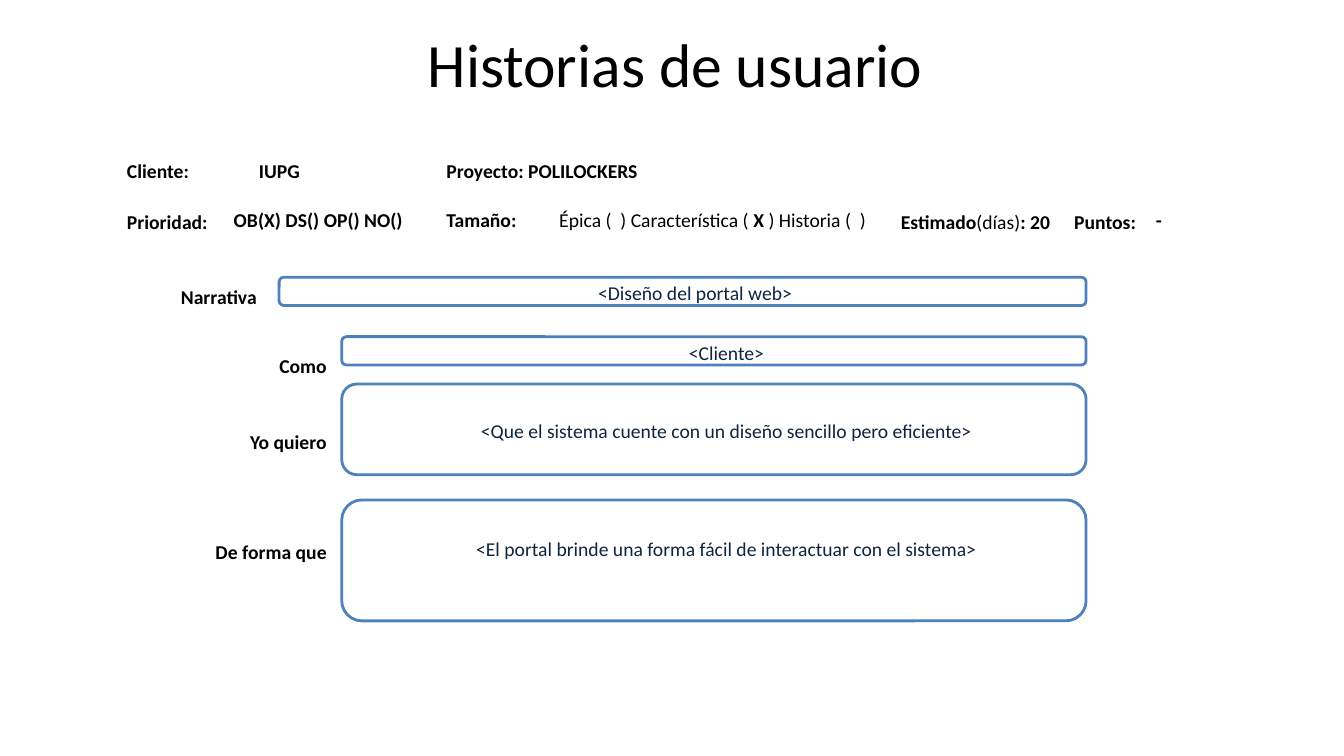
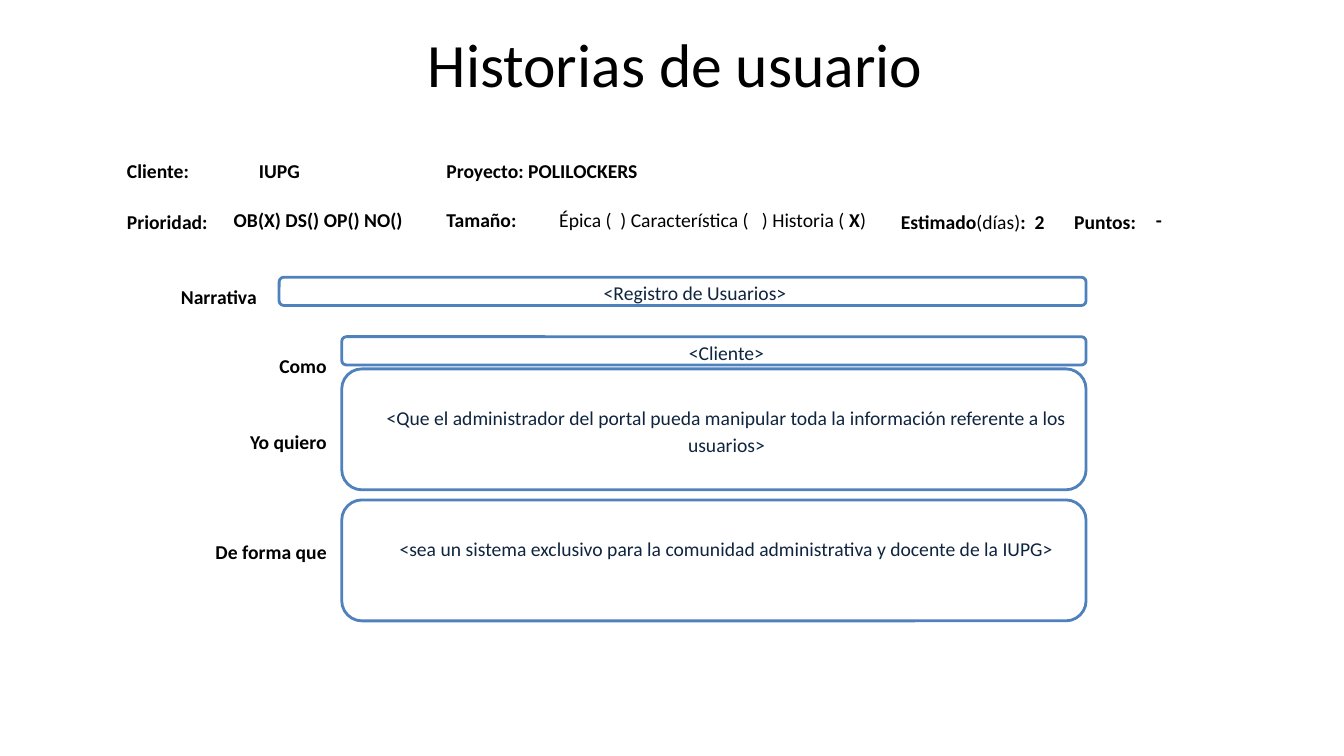
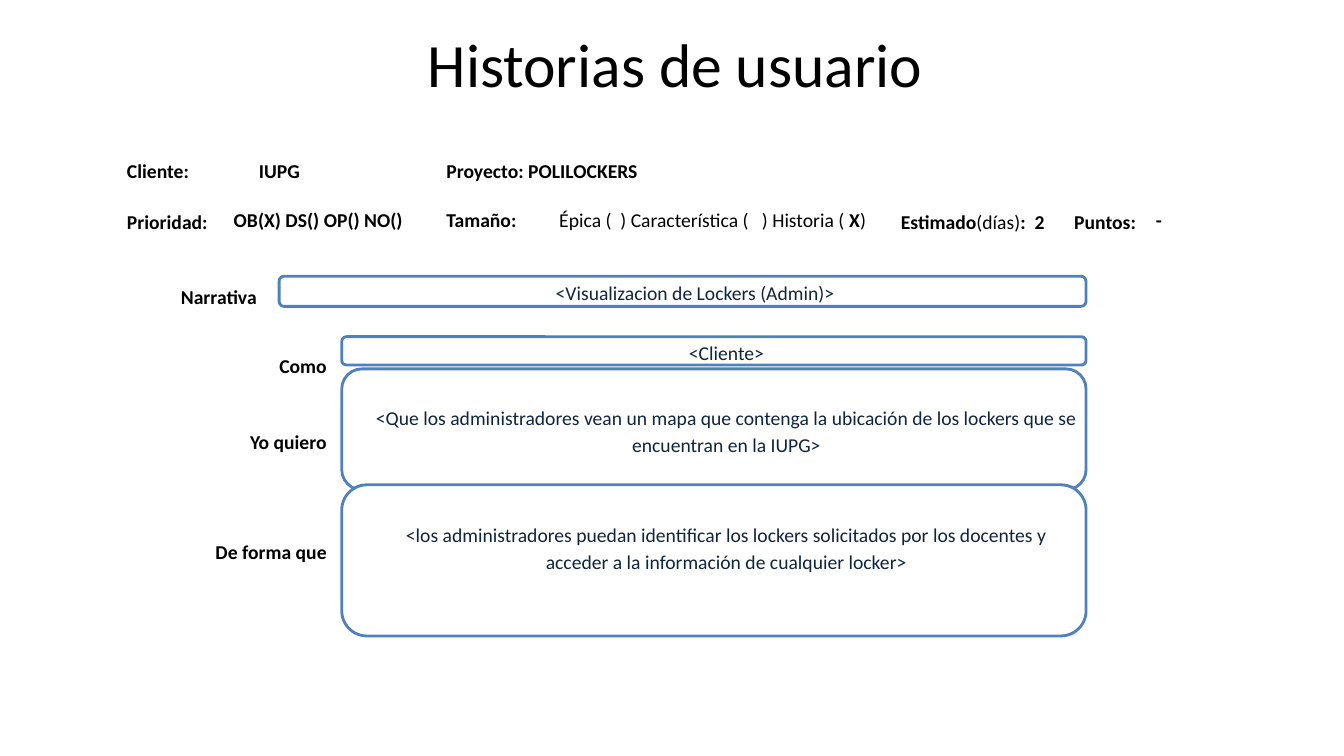
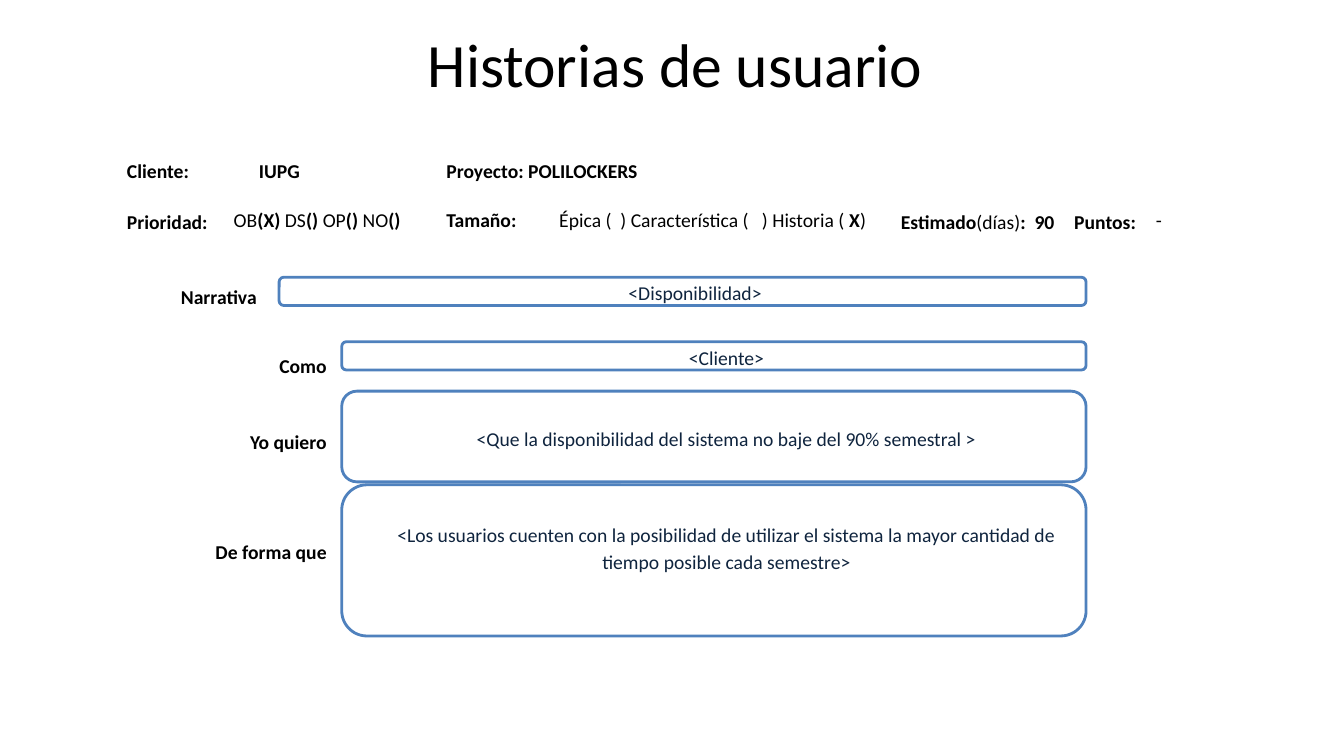
from dataclasses import dataclass

from pptx import Presentation
from pptx.dml.color import RGBColor
from pptx.enum.shapes import MSO_SHAPE as Preset
from pptx.enum.text import MSO_ANCHOR as Anchor, PP_ALIGN as Align
from pptx.util import Pt

COLORS = {"text": "000000", "story": "0F243E", "outline": "4F81BD", "paper": "FFFFFF"}
FONT = "Calibri"
BODY_SIZE = 14
LOOSE = 1.15
BODY_LINE = 19.6
INDENT = 18
TITLE_ONLY = 5

HEADER_AT = (85.7, 104.4)
HEADER_COLUMNS = [76.3, 151.9, 80.6, 244.1, 123.8, 58.3, 33.1]
HEADER_ROWS = [33.1, 39.6]
LABELS_AT = (113.8, 188.6)
LABEL_COLUMNS = [85, 39.6, 554.4]
LABEL_ROWS = [44.6, 54, 54, 103]
NARRATIVE_LEFT, STORY_LEFT, BOX_RIGHT = 199.4, 244.1, 775.8


def color(name):
    return RGBColor.from_string(COLORS[name])


@dataclass
class Story:
    """One user story; asterisks enclose bold text, spans are (top, height)."""
    size: str
    days: str
    narrative: str
    want: str
    benefit: str
    want_span: tuple
    benefit_span: tuple
    priority: str = "*OB(X) DS() OP() NO()*"
    points: str = "*-*"
    narrative_span: tuple = (198, 20.2)
    role_span: tuple = (240.5, 20.2)


class StoryDeck:
    def __init__(self):
        self.prs = Presentation()
        self.prs.slide_width, self.prs.slide_height = Pt(960), Pt(540)
        self.slide = None

    def new_slide(self, title):
        self.slide = self.prs.slides.add_slide(self.prs.slide_layouts[TITLE_ONLY])
        heading = self.slide.shapes.title
        heading.left, heading.top, heading.width, heading.height = (
            Pt(50.4), Pt(0), Pt(864), Pt(90))
        frame = heading.text_frame
        frame.text = title
        frame.vertical_anchor = Anchor.MIDDLE
        frame.paragraphs[0].alignment = Align.CENTER
        self.style(frame.paragraphs[0].runs[0], size=44)

    def style(self, run, size=BODY_SIZE, ink="text", bold=False):
        run.font.name, run.font.size, run.font.bold = FONT, Pt(size), bold
        run.font.color.rgb = color(ink)

    def fill_text(self, paragraph, text, align=Align.LEFT, spacing=LOOSE, indent=0,
                  ink="text"):
        """Fill a paragraph; every second piece between asterisks is bold."""
        if indent:
            paragraph._p.get_or_add_pPr().set("marL", str(Pt(indent)))
        paragraph.alignment, paragraph.line_spacing = align, spacing
        for i, piece in enumerate(text.split("*")):
            if piece:
                run = paragraph.add_run()
                run.text = piece
                self.style(run, ink=ink, bold=i % 2 == 1)

    def grid(self, at, widths, heights):
        """Add a table without fills and with the common cell margins."""
        left, top = at
        table = self.slide.shapes.add_table(
            len(heights), len(widths), Pt(left), Pt(top),
            Pt(sum(widths)), Pt(sum(heights))).table
        table.first_row = table.horz_banding = False
        for column, width in zip(table.columns, widths):
            column.width = Pt(width)
        for row, height in zip(table.rows, heights):
            row.height = Pt(height)
        for cell in table.iter_cells():
            cell.fill.background()
            cell.vertical_anchor = Anchor.MIDDLE
            cell.margin_left = cell.margin_right = Pt(5)
            cell.margin_top, cell.margin_bottom = Pt(1.4), Pt(0)
        return table

    def fill_cell(self, table, row, column, text, **look):
        self.fill_text(table.cell(row, column).text_frame.paragraphs[0], text, **look)

    def box(self, left, span, text, lift=0):
        """Add a rounded box; lift is the space kept free below its text."""
        top, height = span
        box = self.slide.shapes.add_shape(
            Preset.ROUNDED_RECTANGLE, Pt(left), Pt(top), Pt(BOX_RIGHT - left), Pt(height))
        box.shadow.inherit = False
        box.fill.solid()
        box.fill.fore_color.rgb = color("paper")
        box.line.color.rgb = color("outline")
        box.line.width = Pt(2)
        frame = box.text_frame
        frame.word_wrap = True
        frame.vertical_anchor = Anchor.MIDDLE
        frame.margin_left = frame.margin_right = frame.margin_top = Pt(0)
        frame.margin_bottom = Pt(lift)
        self.fill_text(frame.paragraphs[0], text, Align.CENTER, indent=INDENT, ink="story")

    def labels(self):
        table = self.grid(LABELS_AT, LABEL_COLUMNS, LABEL_ROWS)
        table.cell(0, 1).merge(table.cell(0, 2))
        self.fill_cell(table, 0, 0, "*Narrativa*", align=Align.CENTER)
        for row, label in enumerate(["Como", "Yo quiero", "De forma que"], 1):
            table.cell(row, 0).merge(table.cell(row, 1))
            self.fill_cell(table, row, 0, f"*{label}*", align=Align.RIGHT)

    def header(self, story):
        table = self.grid(HEADER_AT, HEADER_COLUMNS, HEADER_ROWS)
        table.cell(0, 2).merge(table.cell(0, 6))
        self.fill_cell(table, 0, 0, "*Cliente:*")
        self.fill_cell(table, 0, 1, "*IUPG*", indent=INDENT)
        self.fill_cell(table, 0, 2, "*Proyecto: POLILOCKERS*")
        details = [
            ("*Prioridad:*", LOOSE), (story.priority, 1.0), ("*Tamaño:*", 1.0),
            (story.size, 1.0), (f"*Estimado*(días)*:{story.days}*", LOOSE),
            ("*Puntos:*", LOOSE), (story.points, 1.0),
        ]
        for column, (text, spacing) in enumerate(details):
            self.fill_cell(table, 1, column, text, spacing=spacing)

    def add_story(self, story):
        self.new_slide("Historias de usuario")
        self.labels()
        self.box(NARRATIVE_LEFT, story.narrative_span, story.narrative)
        self.box(STORY_LEFT, story.role_span, "<Cliente>")
        self.box(STORY_LEFT, story.want_span, story.want)
        self.box(STORY_LEFT, story.benefit_span, story.benefit, lift=BODY_LINE)
        self.header(story)


FEATURE = "Épica (  ) Característica ( *X* ) Historia (  )"
SINGLE_STORY = "Épica (  ) Característica (   ) Historia ( *X*)"

STORIES = [
    Story(
        FEATURE, " 20", "<Diseño del portal web>",
        "<Que el sistema cuente con un diseño sencillo pero eficiente>",
        "<El portal brinde una forma fácil de interactuar con el sistema>",
        want_span=(274.3, 64.8), benefit_span=(357.1, 86.4)),
    Story(
        SINGLE_STORY, "  2", "<Registro de Usuarios>",
        "<Que el administrador del portal pueda manipular toda la información "
        "referente a los usuarios>",
        "<sea un sistema exclusivo para la comunidad administrativa y docente de la IUPG>",
        want_span=(263.5, 86.4), benefit_span=(357.1, 86.4)),
    Story(
        SINGLE_STORY, "  2", "<Visualizacion de Lockers (Admin)>",
        "<Que los administradores vean un mapa que contenga la ubicación de los "
        "lockers que se encuentran en la IUPG>",
        "<los administradores puedan identificar los lockers solicitados por los "
        "docentes y acceder a la información de cualquier locker>",
        want_span=(263.5, 86.4), benefit_span=(346.3, 108),
        narrative_span=(197.3, 21.6)),
    Story(
        SINGLE_STORY, "  90", "<Disponibilidad>",
        "<Que la disponibilidad del sistema no baje del 90% semestral >",
        "<Los usuarios cuenten con la posibilidad de utilizar el sistema la mayor "
        "cantidad de tiempo posible cada semestre>",
        want_span=(279.4, 64.8), benefit_span=(346.3, 108),
        priority="OB*(X) *DS*() *OP*() *NO*()*", points="-",
        role_span=(244.1, 20.2)),
]


def main():
    deck = StoryDeck()
    for story in STORIES:
        deck.add_story(story)
    deck.prs.save("out.pptx")


if __name__ == "__main__":
    main()
